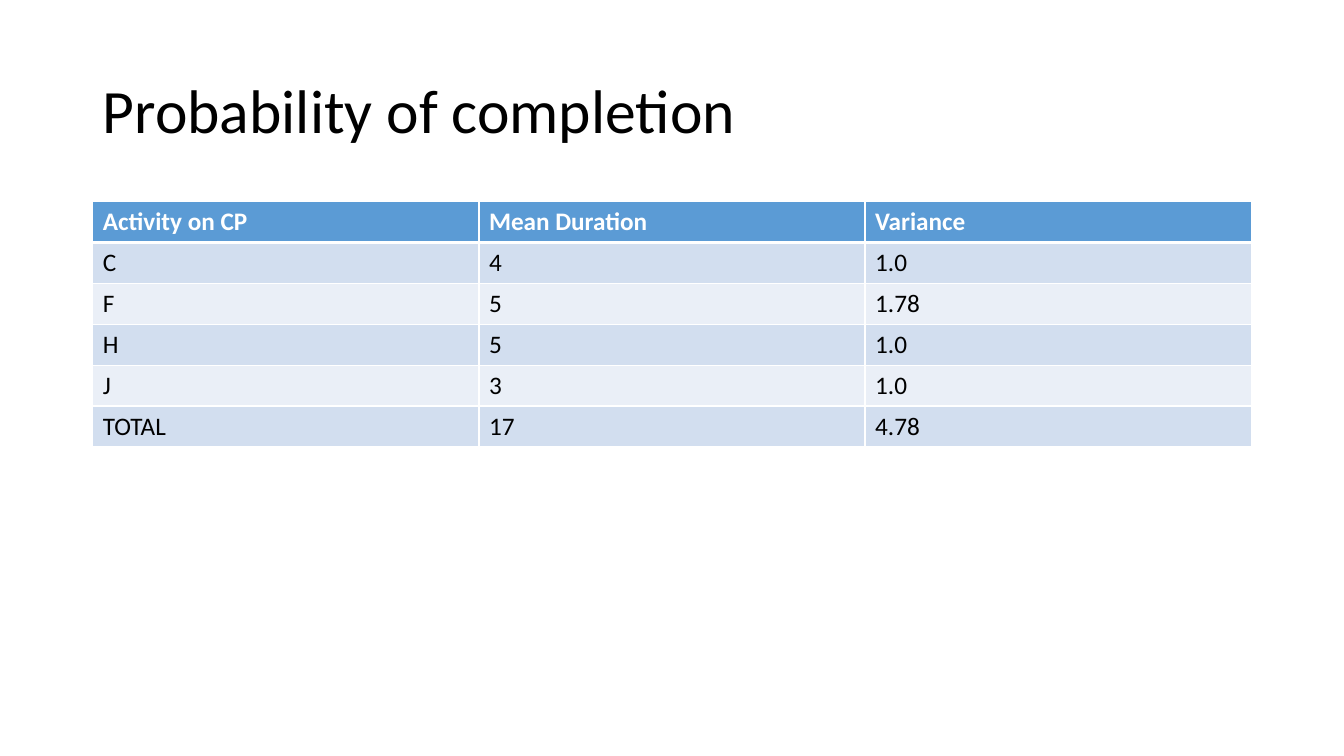
import pptx
import pptx.dml.color
import pptx.enum.text
import pptx.oxml
import pptx.oxml.ns
import pptx.util

COLORS = {
    "white": "FFFFFF",
    "text": "000000",
    "header": "5B9BD5",
    "band_dark": "D2DEEF",
    "band_light": "EAEFF7",
}

ACTIVITIES = [
    ("Activity on CP", "Mean Duration", "Variance"),
    ("C", "4", "1.0"),
    ("F", "5", "1.78"),
    ("H", "5", "1.0"),
    ("J", "3", "1.0"),
    ("TOTAL", "17", "4.78"),
]


def rgb(name):
    return pptx.dml.color.RGBColor.from_string(COLORS[name])


def write(tf, text, size=18, color="text", bold=False, font="Calibri",
          align=pptx.enum.text.PP_ALIGN.LEFT, spacing=1.0):
    p = tf.paragraphs[0]
    p.alignment = align
    p.line_spacing = spacing
    r = p.add_run()
    r.text = text
    r.font.name = font
    r.font.size = pptx.util.Pt(size)
    r.font.bold = bold
    r.font.color.rgb = rgb(color)


class Deck:
    """Slide style on a 12-column grid between equal side margins."""
    WIDTH, HEIGHT = 13.33, 7.5
    MARGIN = 0.92
    COLUMN = (WIDTH - 2 * MARGIN) / 12
    ROW = 0.405

    def __init__(self):
        self.prs = pptx.Presentation()
        self.prs.slide_width = pptx.util.Inches(self.WIDTH)
        self.prs.slide_height = pptx.util.Inches(self.HEIGHT)
        self.s = None

    def add_slide(self):
        self.s = self.prs.slides.add_slide(self.prs.slide_layouts[5])
        self.s.background.fill.solid()
        self.s.background.fill.fore_color.rgb = rgb("white")

    def box(self, top, columns, height):
        return [pptx.util.Inches(v) for v in
                (self.MARGIN, top, columns * self.COLUMN, height)]

    def title(self, text, top, height):
        sp = self.s.shapes.title
        sp.left, sp.top, sp.width, sp.height = self.box(top, 12, height)
        tf = sp.text_frame
        tf.word_wrap = True
        tf.vertical_anchor = pptx.enum.text.MSO_ANCHOR.MIDDLE
        write(tf, text, size=44, spacing=0.9)

    def border(self, cell, side, width):
        ln = pptx.oxml.parse_xml(
            f'<a:{side} {pptx.oxml.ns.nsdecls("a")} w="{pptx.util.Pt(width)}">'
            f'<a:solidFill><a:srgbClr val="{COLORS["white"]}"/></a:solidFill>'
            f'</a:{side}>')
        cell._tc.get_or_add_tcPr().append(ln)

    def table(self, rows, top):
        count = len(rows[0])
        frame = self.s.shapes.add_table(
            len(rows), count, *self.box(top, 12, len(rows) * self.ROW))
        table = frame.table
        for column in table.columns:
            column.width = pptx.util.Inches(12 / count * self.COLUMN)
        for i, values in enumerate(rows):
            table.rows[i].height = pptx.util.Inches(self.ROW)
            header = i == 0
            band = "header" if header else ("band_light", "band_dark")[i % 2]
            for j, value in enumerate(values):
                cell = table.cell(i, j)
                write(cell.text_frame, value, bold=header,
                      color="white" if header else "text")
                # Borders come before the fill in the cell properties
                for side, width in (("lnL", 1), ("lnR", 1),
                                    ("lnT", 3 if i == 1 else 1),
                                    ("lnB", 3 if header else 1)):
                    self.border(cell, side, width)
                cell.fill.solid()
                cell.fill.fore_color.rgb = rgb(band)


def main():
    deck = Deck()
    deck.add_slide()

    # Title
    deck.title("Probability of completion", top=0.4, height=1.45)

    # Critical path activities
    deck.table(ACTIVITIES, top=2)

    deck.prs.save("out.pptx")


if __name__ == "__main__":
    main()
